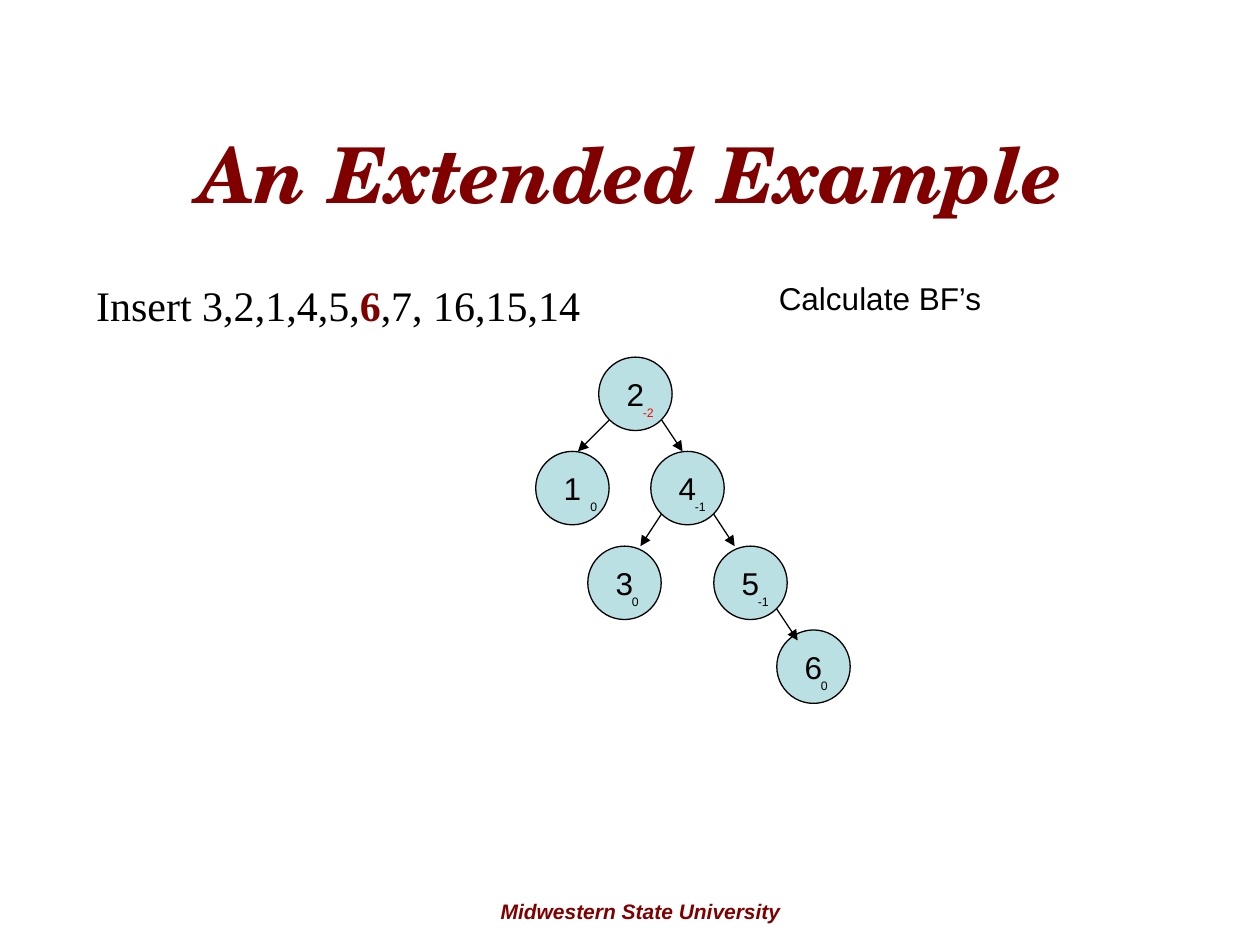
from lxml.etree import SubElement
from pptx import Presentation
from pptx.dml.color import RGBColor
from pptx.enum.shapes import MSO_CONNECTOR, MSO_SHAPE
from pptx.enum.text import MSO_ANCHOR, PP_ALIGN
from pptx.oxml.ns import qn
from pptx.util import Cm, Pt

MAROON, BLACK, RED, PALE_BLUE = "800000", "000000", "FF0000", "BBE0E3"
NODE_SIZE = 1.48


def color(hex_string):
    return RGBColor.from_string(hex_string)


def write(shape, parts, size, font_name="Arial", bold=False, italic=False,
          align=PP_ALIGN.LEFT, wrap=True):
    """Fill the first paragraph with (text, hex colour) parts."""
    shape.text_frame.word_wrap = wrap
    paragraph = shape.text_frame.paragraphs[0]
    paragraph.alignment = align
    for text, hex_string in parts:
        run = paragraph.add_run()
        run.text = text
        run.font.name = font_name
        run.font.size = Pt(size)
        run.font.bold = bold
        run.font.italic = italic
        run.font.color.rgb = color(hex_string)
    return paragraph


presentation = Presentation()
presentation.slide_width = Cm(25.4)
presentation.slide_height = Cm(19.05)
slide = presentation.slides.add_slide(presentation.slide_layouts[5])
shapes = slide.shapes

# Title
title = shapes.title
title.left, title.top, title.width, title.height = Cm(1.27), Cm(1.9), Cm(22.86), Cm(3.18)
title.text_frame.vertical_anchor = MSO_ANCHOR.MIDDLE
write(title, [("An Extended Example", MAROON)], 44, "TeX Gyre Schola",
      bold=True, italic=True, align=PP_ALIGN.CENTER)

# Insertion sequence, with the current key highlighted
sequence = shapes.add_textbox(Cm(1.69), Cm(5.5), Cm(17.99), Cm(1.27))
paragraph = write(sequence, [("Insert 3,2,1,4,5,", BLACK), ("6", MAROON),
                             (",7, 16,15,14", BLACK)], 24, "Times New Roman")
paragraph.runs[1].font.bold = True

# Current step
step = shapes.add_textbox(Cm(15.45), Cm(5.5), Cm(8.47), Cm(1.02))
write(step, [("Calculate BF’s", BLACK)], 18)

# Footer
footer = shapes.add_textbox(Cm(8.89), Cm(17.99), Cm(8.05), Cm(0.76))
write(footer, [("Midwestern State University", MAROON)], 12,
      bold=True, italic=True, align=PP_ALIGN.CENTER)

# Tree nodes: key -> left, top, balance factor, its colour, its offset from the left
nodes = {
    "1": (10.8, 9.1, "0", BLACK, 0.85),
    "2": (12.07, 7.2, "-2", RED, 0.64),
    "4": (13.12, 9.1, "-1", BLACK, 0.64),
    "5": (14.39, 11.01, "-1", BLACK, 0.64),
    "3": (11.85, 11.01, "0", BLACK, 0.64),
    "6": (15.66, 12.7, "0", BLACK, 0.64),
}
for key, (left, top, balance, balance_color, offset) in nodes.items():
    node = shapes.add_shape(MSO_SHAPE.OVAL, Cm(left), Cm(top), Cm(NODE_SIZE), Cm(NODE_SIZE))
    node.shadow.inherit = False
    node.fill.solid()
    node.fill.fore_color.rgb = color(PALE_BLUE)
    node.line.color.rgb = color(BLACK)
    node.line.width = Pt(0.75)
    node.text_frame.vertical_anchor = MSO_ANCHOR.MIDDLE
    write(node, [(key, BLACK)], 18, align=PP_ALIGN.CENTER, wrap=False)

    label = shapes.add_textbox(Cm(left + offset), Cm(top + 0.85), Cm(0.85), Cm(0.55))
    write(label, [(balance, balance_color)], 7)

# Tree edges: parent, child, start offset in the parent, end offset in the child
edges = [
    ("2", "1", 0.21, 0.85, 0),
    ("2", "4", 1.27, 0.64, 0),
    ("4", "3", 0.21, 1.06, 0),
    ("4", "5", 1.27, 0.42, 0),
    ("5", "6", 1.27, 0.42, 0.21),
]
for parent, child, start_x, end_x, end_y in edges:
    parent_left, parent_top = nodes[parent][:2]
    child_left, child_top = nodes[child][:2]
    edge = shapes.add_connector(MSO_CONNECTOR.STRAIGHT,
                                Cm(parent_left + start_x), Cm(parent_top + 1.27),
                                Cm(child_left + end_x), Cm(child_top + end_y))
    edge.line.color.rgb = color(BLACK)
    edge.line.width = Pt(0.75)
    SubElement(edge.line._get_or_add_ln(), qn("a:tailEnd"), type="triangle")
    SubElement(edge._element.spPr, qn("a:effectLst"))

presentation.save("out.pptx")
